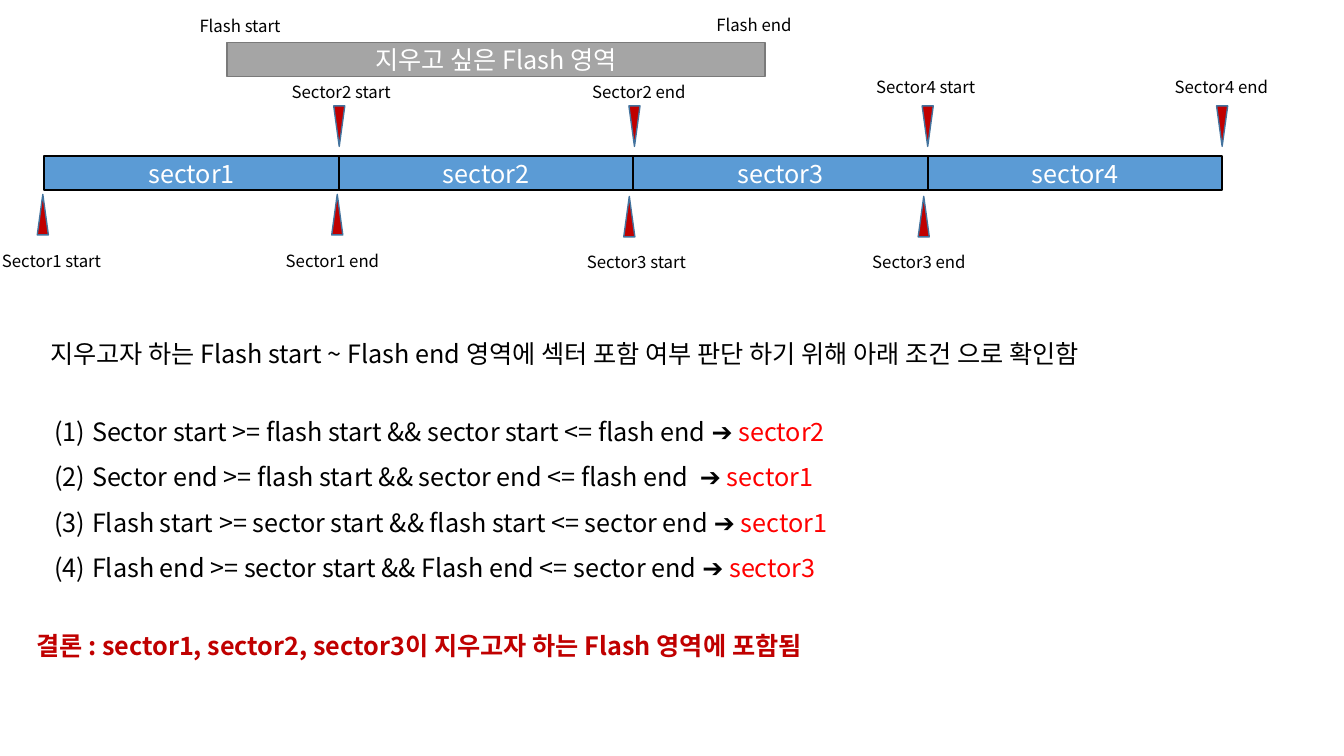
"""Build a slide that shows which flash sectors overlap the area to erase."""
import dataclasses

import pptx
import pptx.dml.color
import pptx.enum.shapes
import pptx.enum.text
import pptx.oxml
import pptx.oxml.ns
import pptx.util

Cm = pptx.util.Cm
SHAPES = pptx.enum.shapes.MSO_SHAPE
ALIGN = pptx.enum.text.PP_ALIGN
ANCHOR = pptx.enum.text.MSO_ANCHOR


@dataclasses.dataclass(frozen=True)
class Theme:
    font: str = "Noto Sans CJK KR"
    body: int = 18
    label: int = 12
    black: str = "000000"
    white: str = "FFFFFF"
    red: str = "FF0000"
    dark_red: str = "C00000"
    sector: str = "5B9BD5"
    area: str = "A5A5A5"
    area_line: str = "7A7A7A"
    marker_line: str = "43739E"


theme = Theme()


def add_run(paragraph, text, size, color, bold=False):
    run = paragraph.add_run()
    run.text = text
    run.font.color.rgb = pptx.dml.color.RGBColor.from_string(color)
    formats = {"size": pptx.util.Pt(size), "bold": bold, "name": theme.font}
    for name, value in formats.items():
        setattr(run.font, name, value)
    east_asian = pptx.oxml.parse_xml(f'<a:ea {pptx.oxml.ns.nsdecls("a")} typeface="{theme.font}"/>')
    run.font._element.append(east_asian)


def add_box(kind, left, top, width, height, fill=None, line=None, line_width=1,
            align=ALIGN.CENTER, anchor=ANCHOR.MIDDLE):
    bounds = [Cm(length) for length in (left, top, width, height)]
    if kind is None:
        shape = slide.shapes.add_textbox(*bounds)
        shape.text_frame.auto_size = pptx.enum.text.MSO_AUTO_SIZE.SHAPE_TO_FIT_TEXT
    else:
        shape = slide.shapes.add_shape(kind, *bounds)
        shape.shadow.inherit = False
        shape.fill.solid()
        shape.fill.fore_color.rgb = pptx.dml.color.RGBColor.from_string(fill)
        shape.line.color.rgb = pptx.dml.color.RGBColor.from_string(line)
        shape.line.width = pptx.util.Pt(line_width)
    for name, value in {"word_wrap": True, "vertical_anchor": anchor}.items():
        setattr(shape.text_frame, name, value)
    shape.text_frame.paragraphs[0].alignment = align
    return shape


presentation = pptx.Presentation()
presentation.slide_width = Cm(33.87)
presentation.slide_height = Cm(19.05)
slide = presentation.slides.add_slide(presentation.slide_layouts[6])

sector_left, sector_top, sector_width, bar_height = 1.12, 3.94, 7.42, 0.86
for index in range(4):
    sector = add_box(SHAPES.RECTANGLE, sector_left + index * sector_width, sector_top,
                     sector_width, bar_height, theme.sector, theme.black, 1.5)
    add_run(sector.text_frame.paragraphs[0], f"sector{index + 1}", theme.body, theme.white)

area = add_box(SHAPES.RECTANGLE, 5.72, 1.07, 13.56, bar_height, theme.area, theme.area_line)
add_run(area.text_frame.paragraphs[0], "지우고 싶은 Flash 영역", theme.body, theme.white)

marker_width, marker_height = 0.28, 1.02
markers = [
    ("Sector1 start", 1.3, 6.2, 1.08, 4.9),
    ("Sector1 end", 8.38, 6.2, 8.5, 4.9),
    ("Sector2 start", 8.6, 1.93, 8.55, 2.67),
    ("Sector2 end", 16.1, 1.93, 15.99, 2.67),
    ("Sector3 start", 16.04, 6.23, 15.86, 4.95),
    ("Sector3 end", 23.16, 6.23, 23.28, 4.95),
    ("Sector4 start", 23.33, 1.8, 23.38, 2.67),
    ("Sector4 end", 30.78, 1.8, 30.8, 2.67),
]
labels = [("Flash start", 6.05, 0.33, 2.69, 0.66), ("Flash end", 19, 0.23, 2.69, 0.79)]
for text, label_center, label_top, marker_center, marker_top in markers:
    marker = add_box(SHAPES.ISOSCELES_TRIANGLE, marker_center - marker_width / 2, marker_top,
                     marker_width, marker_height, theme.dark_red, theme.marker_line)
    if marker_top < sector_top:
        marker._element.spPr.xfrm.set("flipV", "1")
    labels.append((text, label_center, label_top, 3.3 if text.endswith("start") else 2.95, 0.76))

for text, center, top, width, height in labels:
    label = add_box(None, center - width / 2, top, width, height)
    add_run(label.text_frame.paragraphs[0], text, theme.label, theme.black)

statements = [
    ("지우고자 하는 Flash start ~ Flash end 영역에 섹터 포함 여부 판단 하기 위해 아래 조건 으로 확인함",
     1.02, 8.41, theme.black, False),
    ("결론 : sector1, sector2, sector3이 지우고자 하는 Flash 영역에 포함됨",
     0.66, 15.77, theme.dark_red, True),
]
for text, left, top, color, bold in statements:
    statement = add_box(None, left, top, 30.86, 1.02, align=ALIGN.LEFT, anchor=ANCHOR.TOP)
    add_run(statement.text_frame.paragraphs[0], text, theme.body, color, bold)

conditions = [
    ("Sector start >= flash start && sector start <= flash end ➔ ", "sector2"),
    ("Sector end >= flash start && sector end <= flash end  ➔ ", "sector1"),
    ("Flash start >= sector start && flash start <= sector end ➔ ", "sector1"),
    ("Flash end >= sector start && Flash end <= sector end ➔ ", "sector3"),
]
condition_list = add_box(None, 1.12, 9.98, 26.75, 4.88, align=ALIGN.LEFT, anchor=ANCHOR.TOP)
for index, (condition, result) in enumerate(conditions):
    frame = condition_list.text_frame
    paragraph = frame.add_paragraph() if index else frame.paragraphs[0]
    paragraph.line_spacing = 1.5
    properties = paragraph._p.get_or_add_pPr()
    for name, value in {"marL": Cm(0.95), "indent": -Cm(0.95)}.items():
        properties.set(name, str(value))
    properties.append(pptx.oxml.parse_xml(
        f'<a:buAutoNum {pptx.oxml.ns.nsdecls("a")} type="arabicParenBoth"/>'))
    add_run(paragraph, condition, theme.body, theme.black)
    add_run(paragraph, result, theme.body, theme.red)

presentation.save("out.pptx")
